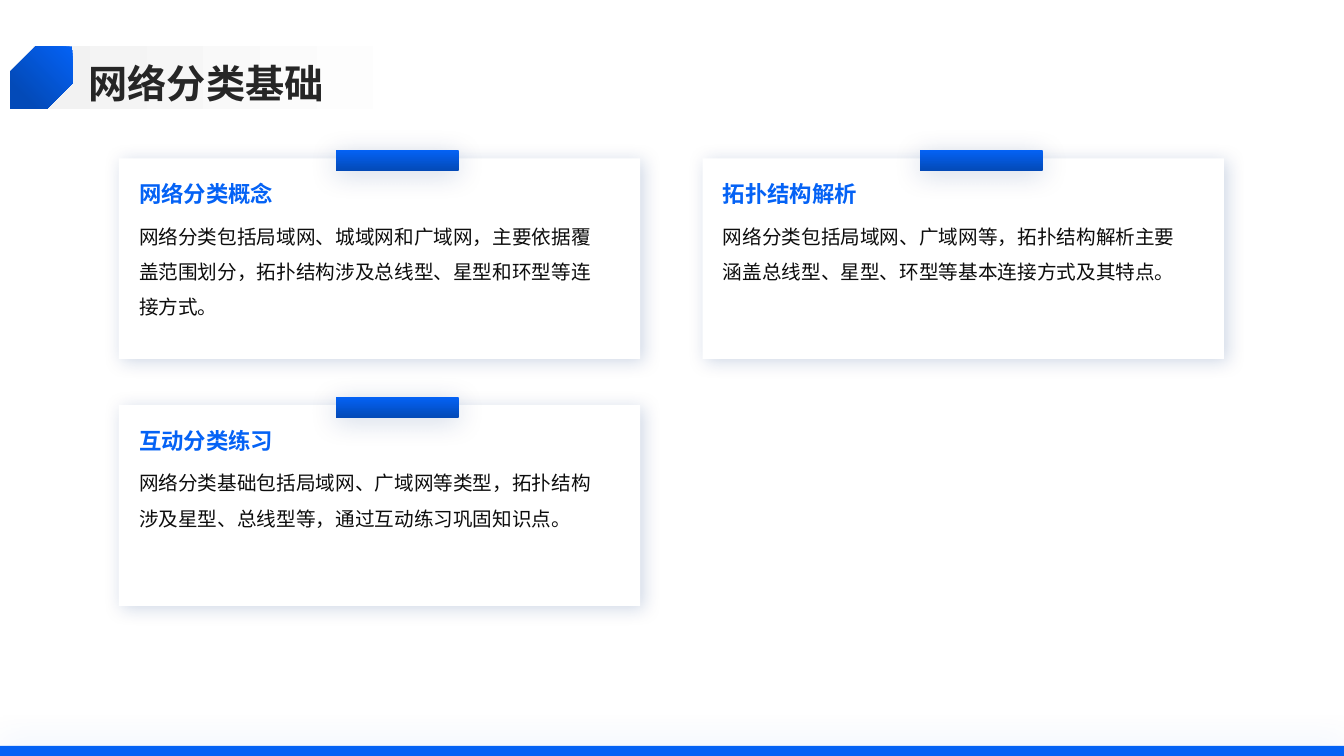
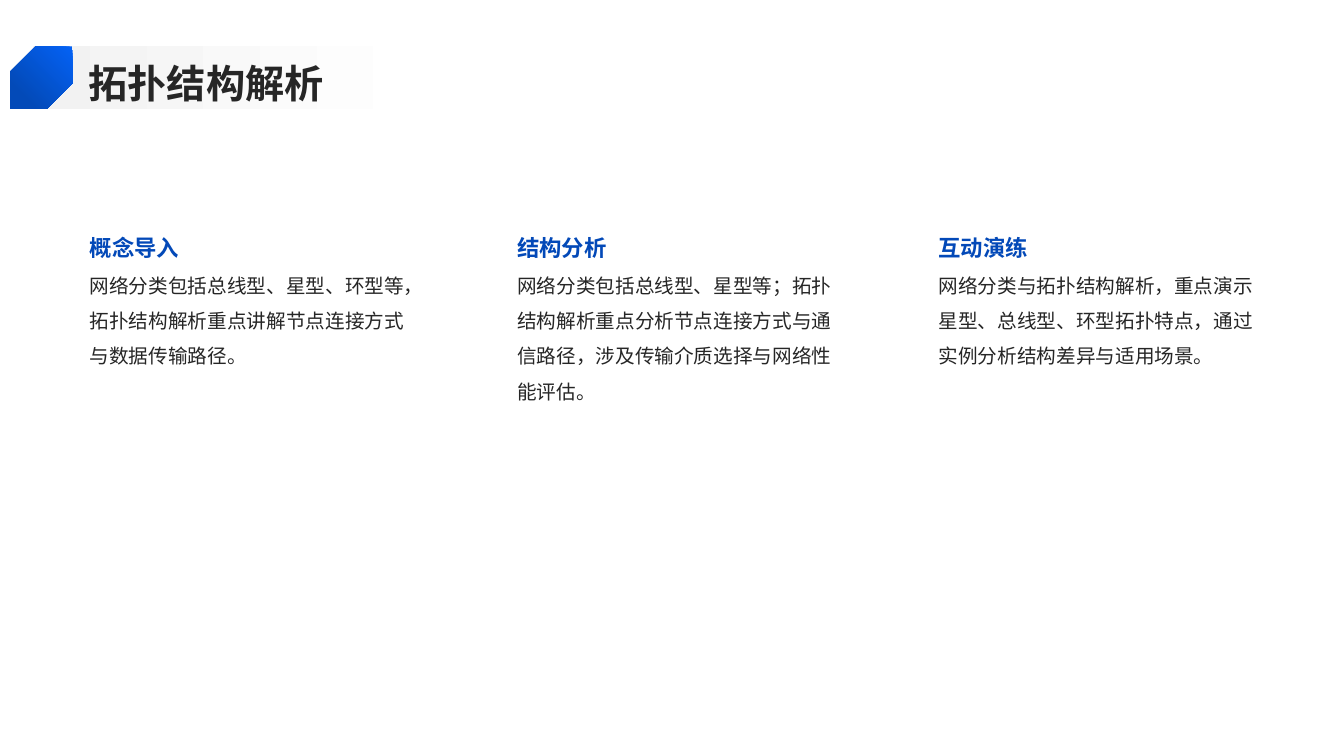
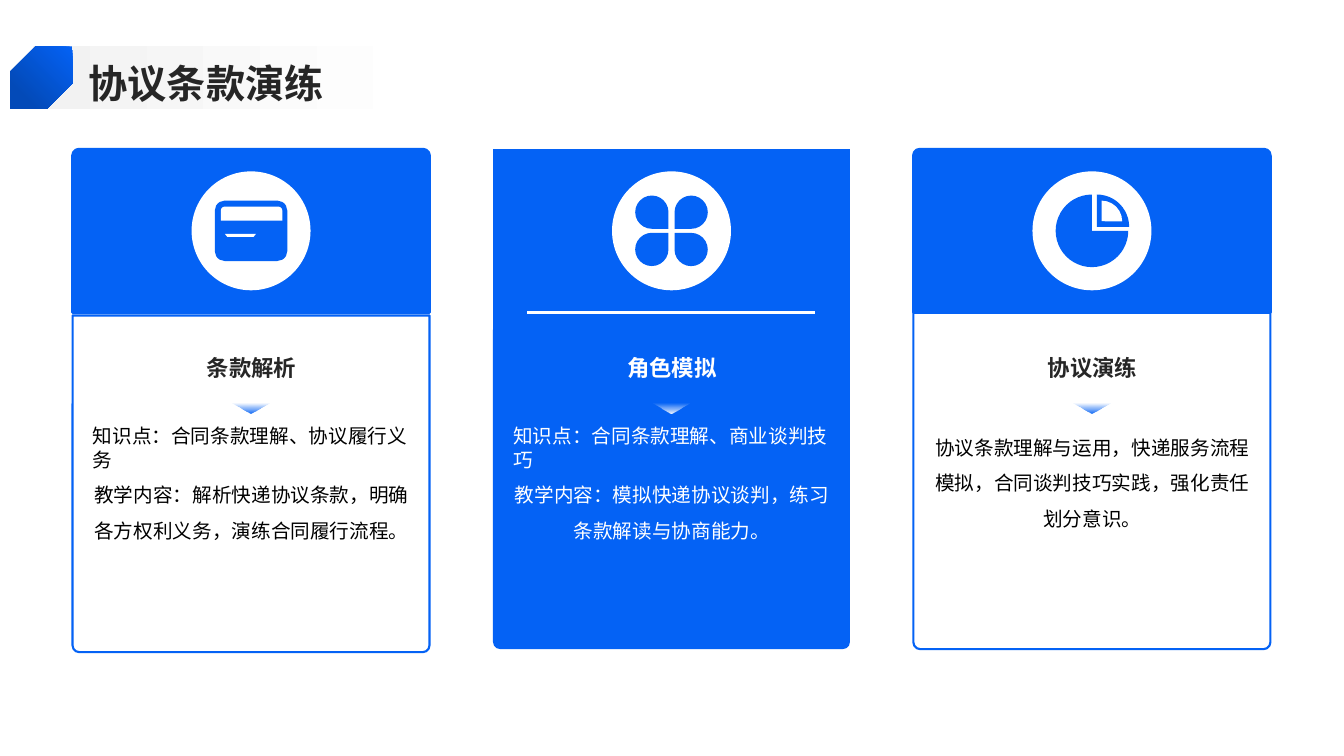
from dataclasses import dataclass
from typing import Any, Optional

import pptx
import pptx.dml.color
import pptx.enum.shapes
import pptx.enum.text
import pptx.oxml.ns
import pptx.util
from lxml import etree

Inches = pptx.util.Inches
Pt = pptx.util.Pt
qn = pptx.oxml.ns.qn
SHAPE = pptx.enum.shapes.MSO_SHAPE
ALIGN = pptx.enum.text.PP_ALIGN
ANCHOR = pptx.enum.text.MSO_ANCHOR

COLORS = {
    "blue": "0462F5",
    "deep": "034AB8",
    "heading": "0349B8",
    "navy": "02317B",
    "white": "FFFFFF",
    "grey": "F2F2F2",
    "ink": "262626",
    "body": "0D0D0D",
    "black": "000000",
}
CJK = "Noto Sans CJK SC"


@dataclass(frozen=True)
class Gradient:
    start: str
    end: str
    angle: float
    end_at: float = 1.0
    fade: bool = False


@dataclass(frozen=True)
class Shadow:
    color: str
    alpha: int
    blur: float
    distance: float
    direction: int


@dataclass(frozen=True)
class Style:
    size: float
    color: str
    bold: bool = False
    spacing: float = 1.0
    font: str = CJK
    align: Any = ALIGN.LEFT


@dataclass(frozen=True)
class Topic:
    heading: str
    body: str
    left: float = 0


@dataclass(frozen=True)
class Panel:
    heading: str
    lead: Optional[str]
    body: str
    icon: Any
    solid: bool = False
    body_top: float = 3.1


def rgb(name: str) -> Any:
    return pptx.dml.color.RGBColor.from_string(COLORS[name])


def add_shape(s: Any, kind: Any, left: float, top: float, width: float, height: float,
              fill: Any, adj: tuple = (), line: Optional[float] = None,
              flip: Optional[str] = None, rotation: float = 0,
              shadow: Optional[Shadow] = None) -> Any:
    sp = s.shapes.add_shape(kind, Inches(left), Inches(top), Inches(width), Inches(height))
    for i, value in enumerate(adj):
        sp.adjustments[i] = value
    sp.rotation = rotation
    sp.shadow.inherit = False
    if isinstance(fill, Gradient):
        sp.fill.gradient()
        sp.fill.gradient_angle = (360 - fill.angle) % 360
        first, last = sp.fill.gradient_stops
        first.color.rgb, first.position = rgb(fill.start), 0
        last.color.rgb, last.position = rgb(fill.end), fill.end_at
        if fill.fade:
            color = list(sp.element.spPr.iter(qn("a:srgbClr")))[-1]
            etree.SubElement(color, qn("a:alpha"), val="0")
    else:
        sp.fill.solid()
        sp.fill.fore_color.rgb = rgb(fill)
    if line is None:
        sp.line.fill.background()
    else:
        sp.line.color.rgb = rgb("blue")
        sp.line.width = Pt(line)
    if flip:
        sp.element.spPr.find(qn("a:xfrm")).set(flip, "1")
    if shadow:
        outer = etree.SubElement(
            sp.element.spPr.find(qn("a:effectLst")), qn("a:outerShdw"),
            blurRad=str(Pt(shadow.blur)), dist=str(Pt(shadow.distance)),
            dir=str(shadow.direction * 60000), algn="ctr", rotWithShape="0")
        color = etree.SubElement(outer, qn("a:srgbClr"), val=COLORS[shadow.color])
        etree.SubElement(color, qn("a:alpha"), val=str(shadow.alpha * 1000))
    return sp


def format_paragraph(p: Any, text: str, style: Style) -> None:
    p.text = text
    p.alignment = style.align
    p.line_spacing = style.spacing
    p.font.size = Pt(style.size)
    p.font.bold = style.bold
    p.font.color.rgb = rgb(style.color)
    p.font.name = style.font
    etree.SubElement(p._p.pPr.find(qn("a:defRPr")), qn("a:ea"), typeface=CJK)


def format_frame(tf: Any, anchor: Any) -> None:
    tf.word_wrap = True
    tf.auto_size = pptx.enum.text.MSO_AUTO_SIZE.NONE
    tf.vertical_anchor = anchor
    tf.margin_left = tf.margin_top = tf.margin_right = tf.margin_bottom = 0


def add_text(s: Any, left: float, top: float, width: float, height: float,
             paragraphs: list, anchor: Any = ANCHOR.TOP) -> None:
    sp = s.shapes.add_textbox(Inches(left), Inches(top), Inches(width), Inches(height))
    tf = sp.text_frame
    format_frame(tf, anchor)
    for i, (text, style) in enumerate(paragraphs):
        p = tf.add_paragraph() if i else tf.paragraphs[0]
        format_paragraph(p, text, style)


def add_titled_slide(prs: Any, text: str) -> Any:
    s = prs.slides.add_slide(prs.slide_layouts[5])
    band = add_shape(s, SHAPE.RECTANGLE, 0.33, 0.46, 4.92, 0.62,
                     Gradient("grey", "white", 0, 0.8))
    title = s.shapes.title
    title.left, title.top = Inches(0.88), Inches(0.54)
    title.width, title.height = Inches(11.88), Inches(0.51)
    format_frame(title.text_frame, ANCHOR.MIDDLE)
    format_paragraph(title.text_frame.paragraphs[0], text,
                     Style(28, "ink", bold=True, spacing=1.1))
    band.element.addnext(title.element)
    add_shape(s, SHAPE.SNIP_2_DIAG_RECTANGLE, 0.1, 0.46, 0.62, 0.62,
              Gradient("blue", "deep", 45, 0.8), adj=(0, 0.408), flip="flipH")
    return s


def add_basics_slide(prs: Any) -> None:
    s = add_titled_slide(prs, "网络分类基础")
    add_shape(s, SHAPE.RECTANGLE, 0, 7.4, 13.33, 0.1, "blue",
              shadow=Shadow("blue", 20, 25, 0, 0))
    topics = [
        Topic("网络分类概念", "网络分类包括局域网、城域网和广域网，主要依据覆盖范围划分，"
                        "拓扑结构涉及总线型、星型和环型等连接方式。"),
        Topic("拓扑结构解析", "网络分类包括局域网、广域网等，拓扑结构解析主要涵盖总线型、"
                        "星型、环型等基本连接方式及其特点。"),
        Topic("互动分类练习", "网络分类基础包括局域网、广域网等类型，拓扑结构涉及星型、"
                        "总线型等，通过互动练习巩固知识点。"),
    ]
    for i, topic in enumerate(topics):
        row, column = divmod(i, 2)
        left, top = 1.18 + column * 5.79, 1.57 + row * 2.45
        add_shape(s, SHAPE.RECTANGLE, left, top, 5.17, 1.99, "white",
                  shadow=Shadow("navy", 19, 13, 3, 45))
        add_shape(s, SHAPE.RECTANGLE, left + 2.15, top - 0.08, 1.22, 0.2,
                  Gradient("blue", "deep", 90), shadow=Shadow("navy", 19, 20, 3, 90))
        add_text(s, left + 0.2, top + 0.22, 4.56, 0.36,
                 [(topic.heading, Style(16, "blue", bold=True))])
        add_text(s, left + 0.2, top + 0.54, 4.56, 1.32,
                 [(topic.body, Style(14, "body", spacing=1.5))])


def add_topology_slide(prs: Any) -> None:
    s = add_titled_slide(prs, "拓扑结构解析")
    topics = [
        Topic("概念导入", "网络分类包括总线型、星型、环型等，拓扑结构解析重点讲解"
                      "节点连接方式与数据传输路径。", 0.89),
        Topic("结构分析", "网络分类包括总线型、星型等；拓扑结构解析重点分析节点连接方式"
                      "与通信路径，涉及传输介质选择与网络性能评估。", 5.13),
        Topic("互动演练", "网络分类与拓扑结构解析，重点演示星型、总线型、环型拓扑特点，"
                      "通过实例分析结构差异与适用场景。", 9.31),
    ]
    for topic in topics:
        add_text(s, topic.left, 2.25, 3.26, 0.39,
                 [(topic.heading, Style(16, "heading", bold=True, spacing=1.1))],
                 ANCHOR.MIDDLE)
        add_text(s, topic.left, 2.6, 3.26, 3.75,
                 [(topic.body, Style(14, "ink", spacing=1.5))])


def add_window_icon(s: Any, left: float, top: float) -> None:
    add_shape(s, SHAPE.ROUNDED_RECTANGLE, left, top + 0.06, 0.72, 0.6, "blue")
    add_shape(s, SHAPE.ROUND_2_SAME_RECTANGLE, left + 0.06, top + 0.12, 0.61, 0.14,
              "white", adj=(0.28, 0))
    add_shape(s, SHAPE.TRAPEZOID, left + 0.1, top + 0.39, 0.31, 0.03, "white",
              adj=(0.8,), flip="flipV")


def add_petals_icon(s: Any, left: float, top: float) -> None:
    for column, row, rotation in ((0, 0, 90), (1, 0, 180), (0, 1, 0), (1, 1, 270)):
        add_shape(s, SHAPE.TEAR, left + column * 0.39, top + 0.01 + row * 0.37,
                  0.33, 0.33, "blue", rotation=rotation)


def add_pie_icon(s: Any, left: float, top: float) -> None:
    quarter = (162, 0)
    add_shape(s, SHAPE.PIE, left, top, 0.72, 0.72, "blue", adj=(0, 162))
    add_shape(s, SHAPE.PIE, left + 0.09, top, 0.64, 0.64, "blue", adj=quarter)
    add_shape(s, SHAPE.PIE, left + 0.25, top + 0.06, 0.41, 0.41, "white", adj=quarter)


def add_panel(s: Any, left: float, panel: Panel) -> None:
    width = 3.54
    middle = left + width / 2
    accent = "white" if panel.solid else "blue"
    rounded = SHAPE.ROUND_2_SAME_RECTANGLE
    if panel.solid:
        add_shape(s, rounded, left, 1.48, width, 4.96, "blue", adj=(0, 0.02))
        rule = s.shapes.add_connector(
            pptx.enum.shapes.MSO_CONNECTOR.STRAIGHT, Inches(left + 0.34), Inches(3.1),
            Inches(left + 3.19), Inches(3.1))
        rule.line.color.rgb = rgb("white")
        rule.line.width = Pt(1.5)
        etree.SubElement(rule._element.spPr, qn("a:effectLst"))
    else:
        add_shape(s, rounded, left, panel.body_top, width, 3.34, "white",
                  adj=(0, 0.02), line=1.5)
        add_shape(s, rounded, left, 1.48, width, 1.62, "blue", adj=(0.04, 0), line=2)
    add_shape(s, SHAPE.OVAL, middle - 0.59, 1.7, 1.18, 1.18, "white")
    panel.icon(s, middle - 0.36, 1.93)
    add_shape(s, SHAPE.ISOSCELES_TRIANGLE, middle - 0.18, 4, 0.36, 0.1,
              Gradient(accent, accent, 90, fade=True), flip="flipV")
    heading = Style(16, "white" if panel.solid else "ink", bold=True, spacing=1.3,
                    align=ALIGN.CENTER)
    add_text(s, left + 0.2, 3.34, 3.15, 0.54, [(panel.heading, heading)], ANCHOR.MIDDLE)
    color = "white" if panel.solid else "black"
    body = [(panel.body, Style(14, color, spacing=1.5, font="Arial", align=ALIGN.CENTER))]
    if panel.lead:
        body.insert(0, (panel.lead, Style(14, color, font="Arial")))
    add_text(s, left + 0.2, 4.21, 3.15, 2.1, body)


def add_terms_slide(prs: Any) -> None:
    s = add_titled_slide(prs, "协议条款演练")
    panels = [
        Panel("条款解析", "知识点：合同条款理解、协议履行义务",
              "教学内容：解析快递协议条款，明确各方权利义务，演练合同履行流程。",
              add_window_icon, body_top=3.13),
        Panel("角色模拟", "知识点：合同条款理解、商业谈判技巧",
              "教学内容：模拟快递协议谈判，练习条款解读与协商能力。",
              add_petals_icon, solid=True),
        Panel("协议演练", None,
              "协议条款理解与运用，快递服务流程模拟，合同谈判技巧实践，强化责任划分意识。",
              add_pie_icon),
    ]
    for i, panel in enumerate(panels):
        add_panel(s, 0.72 + i * 4.17, panel)


def main() -> None:
    prs = pptx.Presentation()
    prs.slide_width, prs.slide_height = Inches(13.33), Inches(7.5)
    add_basics_slide(prs)
    add_topology_slide(prs)
    add_terms_slide(prs)
    prs.save("out.pptx")


if __name__ == "__main__":
    main()
